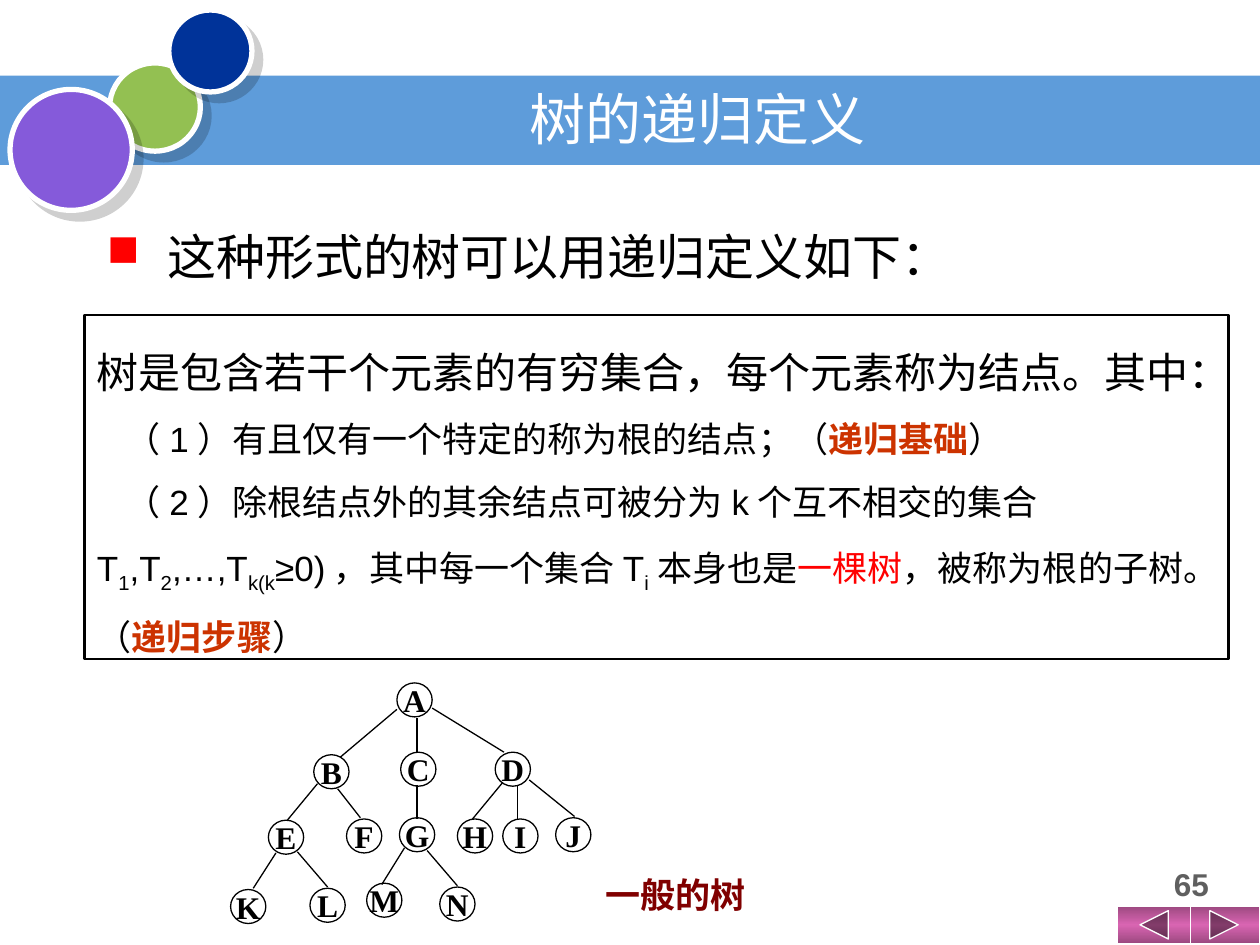
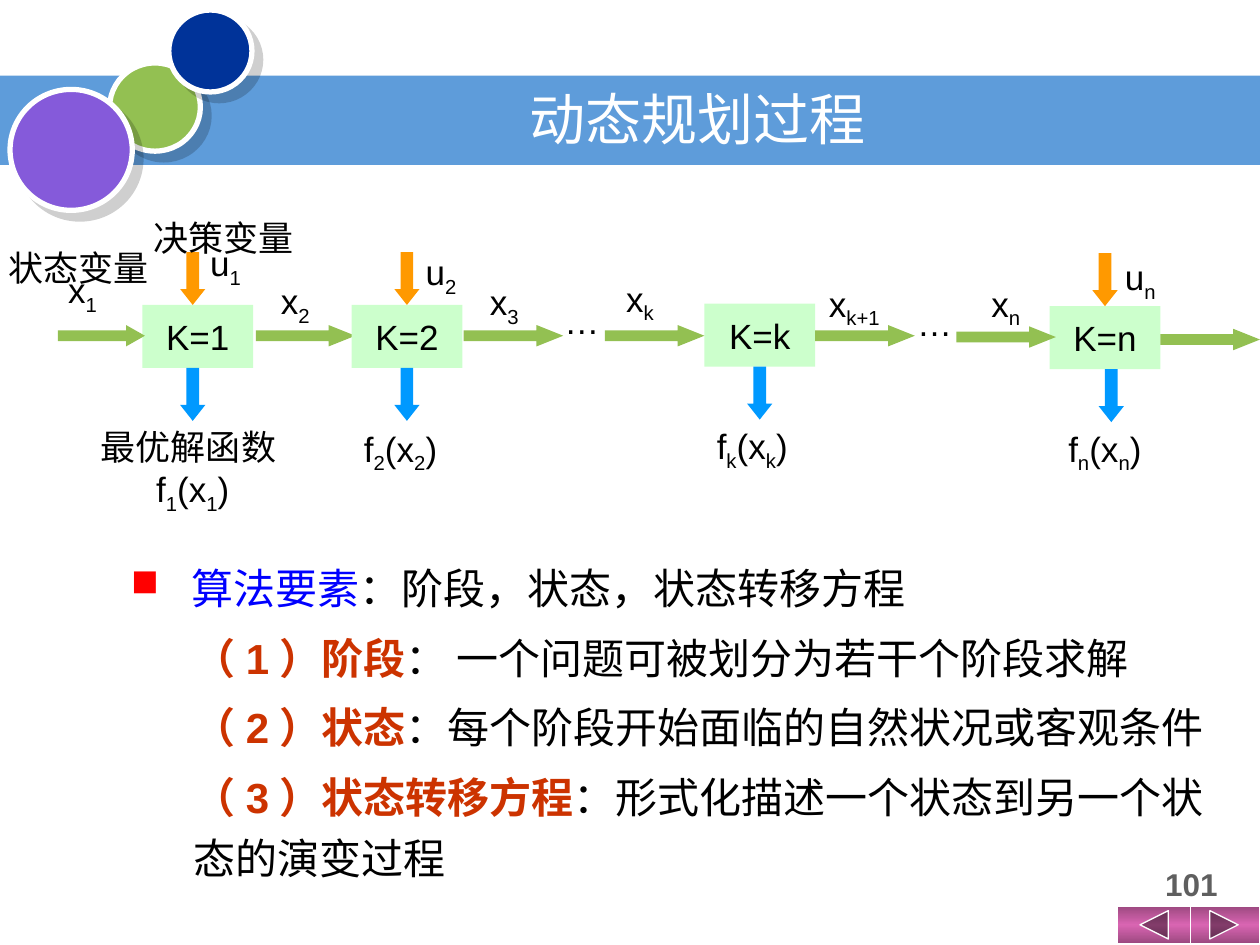
"""Build two lecture slides: the recursive definition of a tree, and the dynamic programming process."""
import dataclasses

import lxml.etree
import pptx
import pptx.dml.color
import pptx.enum.shapes
import pptx.enum.text
import pptx.oxml.ns
import pptx.util

Inches = pptx.util.Inches
Pt = pptx.util.Pt
Shape = pptx.enum.shapes.MSO_SHAPE
Align = pptx.enum.text.PP_ALIGN
Anchor = pptx.enum.text.MSO_ANCHOR
qn = pptx.oxml.ns.qn


@dataclasses.dataclass(frozen=True)
class Theme:
    sans: str = "Arial"
    serif: str = "Times New Roman"
    chinese: str = "Noto Sans CJK SC"
    white: str = "FFFFFF"
    black: str = "000000"
    band: str = "5E9CDA"
    green: str = "93C052"
    navy: str = "003399"
    violet: str = "855ADA"
    button_edge: str = "9B487F"
    button_middle: str = "D965B2"
    number: str = "5F5F5F"
    red: str = "FF0000"
    blue: str = "0000FF"
    accent: str = "CC3300"
    maroon: str = "800000"
    stage: str = "CCFFCC"
    decision: str = "FF9900"
    result: str = "0099FF"
    title_size: int = 32
    lead_size: int = 28
    body_size: int = 24
    text_size: int = 20
    small_size: int = 18


THEME = Theme()
STYLES = {
    "plain": {},
    "sub": {"sub": True},
    "accent": {"color": THEME.accent, "bold": True},
    "red": {"color": THEME.red},
    "blue": {"color": THEME.blue},
    "large": {"size": THEME.body_size},
}

CIRCLES = [
    ((0.87, 0.5, 0.72, 0.7), THEME.green),
    ((1.34, 0.08, 0.66, 0.65), THEME.navy),
    ((0.08, 0.71, 0.97, 0.96), THEME.violet),
]
BUTTONS = [
    (Shape.ACTION_BUTTON_FORWARD_OR_NEXT, (9.43, 7.19, 0.57, 0.3)),
    (Shape.ACTION_BUTTON_BACK_OR_PREVIOUS, (8.87, 7.19, 0.58, 0.3)),
]

TREE_TITLE, TREE_NUMBER = "树的递归定义", "65"
TREE_LEAD = "这种形式的树可以用递归定义如下："
TREE_CAPTION = "一般的树"
DEFINITION = [
    [("树是包含若干个元素的有穷集合，每个元素称为结点。其中：", "large")],
    ["（1）有且仅有一个特定的称为根的结点；（", ("递归基础", "accent"), "）"],
    ["（2）除根结点外的其余结点可被分为k个互不相交的集合T", ("1", "sub"), ",T", ("2", "sub"),
     ",…,T", ("k(k", "sub"), "≥0)，其中每一个集合T", ("i", "sub"), "本身也是",
     ("一棵树", "red"), "，被称为根的子树。（", ("递归步骤", "accent"), "）"],
]
NODE_SIZE = (0.28, 0.27)
NODES = {
    "A": (3.15, 5.42), "B": (2.49, 5.99), "D": (3.93, 5.97), "C": (3.18, 5.97),
    "E": (2.13, 6.51), "G": (3.17, 6.49), "F": (2.75, 6.5), "H": (3.63, 6.5),
    "I": (3.99, 6.5), "M": (2.91, 7.01), "J": (4.41, 6.49), "N": (3.49, 7.04),
    "K": (1.83, 7.06), "L": (2.46, 7.05),
}
BRANCHES = [
    (3.15, 5.63, 2.7, 6.01), (3.31, 5.7, 3.31, 5.97), (3.43, 5.62, 4, 5.97),
    (2.52, 6.22, 2.28, 6.51), (2.68, 6.26, 2.86, 6.49), (3.31, 6.23, 3.31, 6.5),
    (3.99, 6.21, 3.75, 6.5), (4.11, 6.23, 4.11, 6.5), (4.2, 6.19, 4.56, 6.48),
    (2.19, 6.77, 2.01, 7.05), (2.36, 6.76, 2.6, 7.04),
    (3.21, 6.73, 3.03, 7.02), (3.39, 6.75, 3.63, 7.03),
]

PROCESS_TITLE, PROCESS_NUMBER = "动态规划过程", "101"
STAGE_SIZE = (0.88, 0.5)
DROP_SIZE = (0.2, 0.42)
FLOW_HEIGHT = 0.17
STAGES = [
    {"name": "K=1", "at": (1.13, 2.42), "decision": 1.43, "result": 1.43,
     "flows": [(0.46, 2.58, 0.69), (2.03, 2.58, 0.79)]},
    {"name": "K=2", "at": (2.79, 2.42), "decision": 3.13, "result": 3.13,
     "flows": [(3.68, 2.58, 0.79)]},
    {"name": "K=k", "at": (5.59, 2.41), "decision": None, "result": 5.93,
     "flows": [(4.8, 2.58, 0.79), (6.47, 2.58, 0.79)]},
    {"name": "K=n", "at": (8.33, 2.43), "decision": 8.67, "result": 8.72,
     "flows": [(7.59, 2.59, 0.79), (9.21, 2.61, 0.79)]},
]
VARIABLES = [
    ("x", "2", (2.13, 2.17)), ("x", "3", (3.79, 2.18)), ("x", "k", (4.87, 2.15)),
    ("x", "k+1", (6.48, 2.19)), ("x", "n", (7.77, 2.19)),
    ("u", "2", (3.28, 1.94)), ("u", "n", (8.83, 1.98)),
]
RESULTS = [("2", (2.79, 3.34)), ("k", (5.59, 3.32)), ("n", (8.38, 3.34))]
ELLIPSES = [(4.38, 2.33), (7.18, 2.34)]
ELEMENTS = [
    [("算法要素", "blue"), "：阶段，状态，状态转移方程"],
    [("（1）阶段", "accent"), "： 一个问题可被划分为若干个阶段求解"],
    [("（2）状态", "accent"), "：每个阶段开始面临的自然状况或客观条件"],
    [("（3）状态转移方程", "accent"), "：形式化描述一个状态到另一个状态的演变过程"],
]


def rgb(color):
    return pptx.dml.color.RGBColor.from_string(color)


def add_node(parent, tag, **attributes):
    return lxml.etree.SubElement(parent, qn(tag), {key: str(value) for key, value in attributes.items()})


def add_span(para, text, *, size, font, color=THEME.black, bold=False, sub=False):
    span = para.add_run()
    span.text = text
    span.font.size, span.font.name, span.font.bold = Pt(size), font, bold
    span.font.color.rgb = rgb(color)
    properties = span.font._element
    add_node(properties, "a:ea", typeface=THEME.chinese)
    if sub:
        properties.set("baseline", "-25000")


def set_indent(para, left, first, bullet=False):
    properties = para._p.get_or_add_pPr()
    properties.set("marL", str(Inches(left)))
    properties.set("indent", str(Inches(first)))
    if bullet:
        add_node(add_node(properties, "a:buClr"), "a:srgbClr", val=THEME.red)
        add_node(properties, "a:buSzPct", val=90000)
        add_node(properties, "a:buChar", char="■")


def write(box, paragraphs, *, size=THEME.text_size, font=THEME.sans, color=THEME.black, bold=False,
          align=Align.LEFT, anchor=Anchor.TOP, wrap=True, spacing=None, before=0, indents=None, bullet=False):
    frame = box.text_frame
    frame.word_wrap, frame.vertical_anchor = wrap, anchor
    if isinstance(paragraphs, str):
        paragraphs = [[paragraphs]]
    for index, pieces in enumerate(paragraphs):
        para = frame.add_paragraph() if index else frame.paragraphs[0]
        para.alignment = align
        if spacing:
            para.line_spacing = spacing
        if index and before:
            para.space_before = Pt(before)
        if indents:
            set_indent(para, *indents[index], bullet=bullet and index == 0)
        for piece in pieces:
            text, style = (piece, "plain") if isinstance(piece, str) else piece
            look = {"size": size, "font": font, "color": color, "bold": bold} | STYLES[style]
            add_span(para, text, **look)


def add_text(page, place, paragraphs, **look):
    box = page.shapes.add_textbox(*map(Inches, place))
    write(box, paragraphs, **look)


def add_form(page, kind, place, fill=None, line=None, width=0.75, adjust=()):
    form = page.shapes.add_shape(kind, *map(Inches, place))
    form.shadow.inherit = False
    if fill:
        form.fill.solid()
        form.fill.fore_color.rgb = rgb(fill)
    else:
        form.fill.background()
    if line:
        form.line.color.rgb = rgb(line)
        form.line.width = Pt(width)
    else:
        form.line.fill.background()
    for index, value in enumerate(adjust):
        form.adjustments[index] = value
    return form


def add_soft_shadow(form):
    effects = form._element.spPr.find(qn("a:effectLst"))
    shadow = add_node(effects, "a:outerShdw", dist=Pt(7.1), dir=45 * 60000, algn="ctr", rotWithShape=0)
    add_node(add_node(shadow, "a:srgbClr", val=THEME.black), "a:alpha", val=19000)


def set_gradient(form):
    form.fill.gradient()
    form.fill.gradient_angle = 90
    stops = form._element.spPr.find(qn("a:gradFill")).find(qn("a:gsLst"))
    for stop in list(stops):
        stops.remove(stop)
    for position, color in ((0, THEME.button_edge), (50, THEME.button_middle), (100, THEME.button_edge)):
        add_node(add_node(stops, "a:gs", pos=position * 1000), "a:srgbClr", val=color)


def add_page(deck, title, number):
    page = deck.slides.add_slide(deck.slide_layouts[6])
    add_form(page, Shape.RECTANGLE, (0, 0.6, 10, 0.71), THEME.band)
    for place, color in CIRCLES:
        add_soft_shadow(add_form(page, Shape.OVAL, place, color, THEME.white, 3))
    for kind, place in BUTTONS:
        set_gradient(add_form(page, kind, place, line=THEME.white))
    add_text(page, (2.25, 0.67, 6.58, 0.53), title, size=THEME.title_size, font=THEME.chinese,
             color=THEME.white, align=Align.CENTER, anchor=Anchor.MIDDLE)
    add_text(page, (8.83, 6.82, 1.25, 0.43), number, size=THEME.small_size, color=THEME.number,
             bold=True, align=Align.CENTER)
    return page


def build_tree(deck):
    page = add_page(deck, TREE_TITLE, TREE_NUMBER)
    add_text(page, (0.75, 1.75, 9, 0.58), TREE_LEAD, size=THEME.lead_size, font=THEME.chinese,
             indents=[(0.48, -0.48)], bullet=True)
    frame = add_form(page, Shape.RECTANGLE, (0.67, 2.5, 9.08, 2.73), line=THEME.black, width=1.5)
    write(frame, DEFINITION, spacing=1.5, indents=[(0, 0), (0, 0.23), (0, 0.23)])
    for name, corner in NODES.items():
        node = add_form(page, Shape.OVAL, corner + NODE_SIZE, line=THEME.black)
        write(node, name, size=THEME.small_size, font=THEME.serif, bold=True, align=Align.CENTER,
              anchor=Anchor.MIDDLE, wrap=False)
    for ends in BRANCHES:
        branch = page.shapes.add_connector(pptx.enum.shapes.MSO_CONNECTOR.STRAIGHT, *map(Inches, ends))
        branch.line.color.rgb = rgb(THEME.black)
        branch.line.width = Pt(0.75)
        add_node(branch._element.spPr, "a:effectLst")
    add_text(page, (4.7, 6.88, 1.32, 0.44), TREE_CAPTION, font=THEME.chinese, color=THEME.maroon,
             bold=True, align=Align.CENTER, wrap=False)


def add_stage(page, stage):
    left, top = stage["at"]
    width, height = STAGE_SIZE
    box = add_form(page, Shape.RECTANGLE, (left, top, width, height), THEME.stage)
    write(box, stage["name"], align=Align.CENTER, anchor=Anchor.MIDDLE, wrap=False)
    for flow_left, flow_top, length in stage["flows"]:
        add_form(page, Shape.RIGHT_ARROW, (flow_left, flow_top, length, FLOW_HEIGHT), THEME.green,
                 adjust=(0.5, 0.88 if length < 0.79 else 1.25))
    drops = [(stage["decision"], top - DROP_SIZE[1], THEME.decision), (stage["result"], top + height, THEME.result)]
    for drop_left, drop_top, color in drops:
        if drop_left is not None:
            add_form(page, Shape.DOWN_ARROW, (drop_left, drop_top) + DROP_SIZE, color, adjust=(0.5, 0.63))


def build_process(deck):
    page = add_page(deck, PROCESS_TITLE, PROCESS_NUMBER)
    for stage in STAGES:
        add_stage(page, stage)
    one = ("1", "sub")
    add_text(page, (-0.06, 2.02, 1.43, 0.55), [["状态变量x", one]], align=Align.CENTER, spacing=Pt(16))
    add_text(page, (1.12, 1.75, 1.34, 0.61), [["决策变量u", one]], align=Align.CENTER, spacing=Pt(18))
    add_text(page, (0.7, 3.33, 1.66, 0.77), [["最优解函数f", one, "(x", one, ")"]], align=Align.CENTER)
    for letter, index, corner in VARIABLES:
        width = 0.65 if letter == "x" else 1.17
        add_text(page, corner + (width, 0.44), [[letter, (index, "sub")]])
    for index, corner in RESULTS:
        add_text(page, corner + (0.89, 0.44), [["f", (index, "sub"), "(x", (index, "sub"), ")"]])
    for corner in ELLIPSES:
        add_text(page, corner + (0.78, 0.44), "…")
    add_text(page, (0.94, 4.33, 8.81, 2.8), ELEMENTS, size=THEME.body_size, spacing=Pt(35), before=4.8,
             indents=[(0.48, -0.48)] + [(0.5, 0)] * 3, bullet=True)


def main():
    deck = pptx.Presentation()
    deck.slide_width, deck.slide_height = Inches(10), Inches(7.5)
    build_tree(deck)
    build_process(deck)
    deck.save("out.pptx")


if __name__ == "__main__":
    main()
